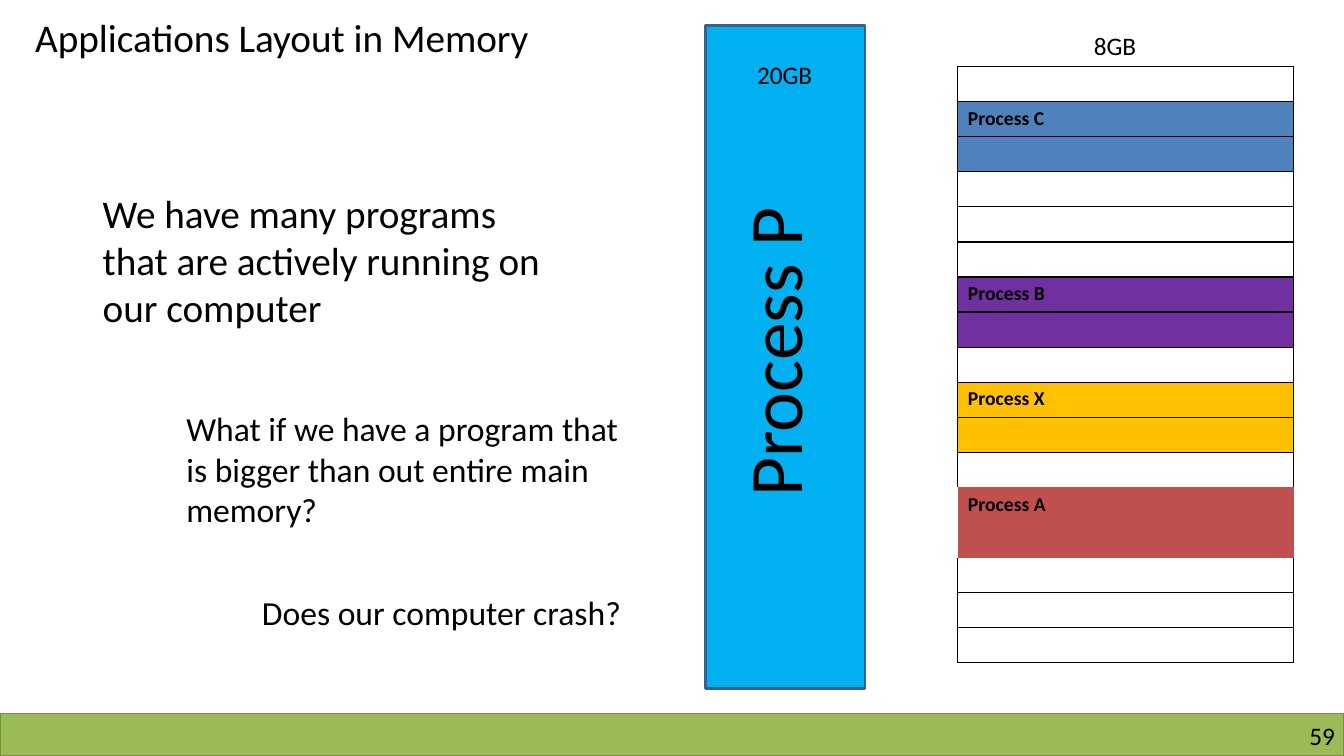
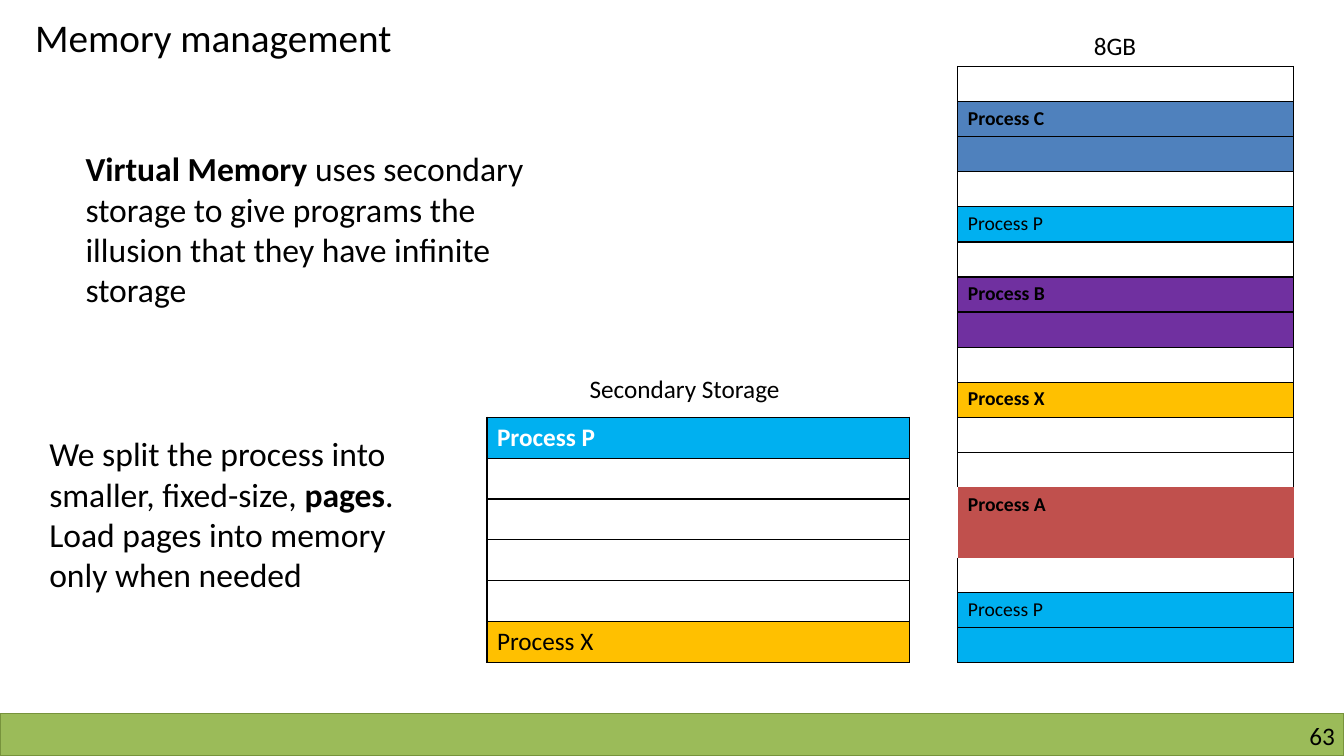
from typing import NamedTuple

from lxml import etree
from pptx import Presentation
from pptx.dml.color import RGBColor
from pptx.enum.shapes import MSO_SHAPE
from pptx.enum.text import PP_ALIGN
from pptx.oxml.ns import qn
from pptx.util import Inches, Pt

RECT = MSO_SHAPE.RECTANGLE
LEFT, RIGHT = PP_ALIGN.LEFT, PP_ALIGN.RIGHT

FONT = "Calibri"
BLACK, WHITE = "000000", "FFFFFF"
BAND_FILL, BAND_LINE = "9BBB59", "77933C"
PROCESS_LINE = "3A5F8C"
PROCESS_FILL = {
    "A": "C0504D",
    "B": "7030A0",
    "C": "4F81BD",
    "P": "00B0F0",
    "X": "FFC000",
}
SLIDE_W, SLIDE_H = 13.33, 7.5
MEMORY_BOX = (9.5, 0.66, 3.33, 5.92)
MEMORY_ROWS = 17
STORAGE_BOX = (4.83, 4.14, 4.19, 2.43)
STORAGE_ROWS = 6


class Block(NamedTuple):
    """Consecutive table rows that one process takes up."""
    first: int
    rows: int
    process: str
    bold: bool = True
    color: str = BLACK
    bordered: bool = True


BLOCK_A = Block(12, 2, "A", bordered=False)
BLOCK_B = Block(6, 2, "B")
BLOCK_C = Block(1, 2, "C")


def rgb(value):
    return RGBColor.from_string(value)


def style_font(p, size, color=BLACK, bold=None):
    p.font.name = FONT
    p.font.size = Pt(size)
    p.font.color.rgb = rgb(color)
    p.font.bold = bold


def add_box(slide, box, fill, line, line_width):
    sp = slide.shapes.add_shape(RECT, *map(Inches, box))
    sp.shadow.inherit = False
    sp.fill.solid()
    sp.fill.fore_color.rgb = rgb(fill)
    sp.line.color.rgb = rgb(line)
    sp.line.width = Pt(line_width)


def add_text(slide, box, runs, size, align=LEFT, wrap=True, inset=True):
    """Add a text box; runs is a string or a list of (text, bold) pairs."""
    sp = slide.shapes.add_textbox(*map(Inches, box))
    tf = sp.text_frame
    tf.word_wrap = wrap
    if not inset:
        tf.margin_left = tf.margin_top = tf.margin_right = tf.margin_bottom = 0
    p = tf.paragraphs[0]
    p.alignment = align
    style_font(p, size)
    for text, bold in [(runs, False)] if isinstance(runs, str) else runs:
        r = p.add_run()
        r.text = text
        r.font.bold = bold
    return sp


def set_borders(cell, sides):
    """Draw black lines on the named sides (L, R, T, B) and none elsewhere."""
    tc_pr = cell._tc.get_or_add_tcPr()
    for side in "LRTB":
        ln = etree.SubElement(tc_pr, qn(f"a:ln{side}"), w=str(Pt(1)))
        if side in sides:
            fill = etree.SubElement(ln, qn("a:solidFill"))
            etree.SubElement(fill, qn("a:srgbClr"), val=BLACK)
        else:
            etree.SubElement(ln, qn("a:noFill"))


def add_block_table(slide, box, row_count, blocks, size):
    """Add a one-column table of equal rows, coloured where blocks lie."""
    left, top, width, height = map(Inches, box)
    table = slide.shapes.add_table(row_count, 1, left, top, width, height).table
    table.first_row = table.horz_banding = False
    owner = {b.first + i: b for b in blocks for i in range(b.rows)}
    borderless = {row for row, b in owner.items() if not b.bordered}
    for row in range(row_count):
        table.rows[row].height = height // row_count
        cell = table.cell(row, 0)
        sides = "" if row in borderless else "LR"
        if row not in borderless and row - 1 not in borderless:
            sides += "T"
        if row not in borderless and row + 1 not in borderless:
            sides += "B"
        set_borders(cell, sides)
        block = owner.get(row)
        cell.fill.solid()
        cell.fill.fore_color.rgb = rgb(
            PROCESS_FILL[block.process] if block else WHITE)
        p = cell.text_frame.paragraphs[0]
        if block and row == block.first:
            style_font(p, size, block.color, block.bold)
            p.add_run().text = f"Process {block.process}"
        else:
            style_font(p, size)
            cell.margin_top = cell.margin_bottom = 0


def add_memory(slide, box, blocks):
    left, top = box[:2]
    add_text(slide, (left + 1.25, top - 0.41, 0.71, 0.4), "8GB", 18, wrap=False)
    add_block_table(slide, box, MEMORY_ROWS, blocks, 14)


def add_storage(slide, box, blocks):
    left, top = box[:2]
    add_text(slide, (left + 0.92, top - 0.49, 2.36, 0.4),
             "Secondary Storage", 18, wrap=False)
    add_block_table(slide, box, STORAGE_ROWS, blocks, 18)


def add_large_process(slide, box):
    left, top, width, height = box
    add_box(slide, box, PROCESS_FILL["P"], PROCESS_LINE, 2)
    name = add_text(slide, (left - 1.26, top + 2.34, 3.86, 1.01),
                    "Process P", 54)
    name.rotation = 270
    add_text(slide, (left + 0.41, top + 0.29, 0.85, 0.4), "20GB", 18, wrap=False)


def add_base_slide(prs, title, number):
    slide = prs.slides.add_slide(prs.slide_layouts[6])
    band_h = 0.42
    band_top = SLIDE_H - band_h
    add_box(slide, (0, band_top, SLIDE_W, band_h), BAND_FILL, BAND_LINE, 1)
    add_text(slide, (10.17, band_top + 0.07, 3.07, 0.3), number, 18,
             align=RIGHT, inset=False)
    add_text(slide, (0.25, 0.08, 6.42, 0.57), title, 28)
    return slide


def build_layout_slide(prs):
    slide = add_base_slide(prs, "Applications Layout in Memory", "59")
    add_text(slide, (0.92, 1.83, 4.67, 1.51),
             "We have many programs that are actively running on our computer",
             28)
    add_text(slide, (1.75, 4, 4.5, 1.31),
             "What if we have a program that is bigger than out entire main "
             "memory?", 24)
    add_text(slide, (2.5, 5.82, 4.17, 0.5), "Does our computer crash?", 24)
    add_large_process(slide, (7, 0.25, 1.58, 6.58))
    add_memory(slide, MEMORY_BOX,
               [BLOCK_C, BLOCK_B, Block(9, 2, "X"), BLOCK_A])


def build_management_slide(prs):
    slide = add_base_slide(prs, "Memory management", "63")
    add_text(slide, (0.75, 1.42, 4.75, 1.72),
             [("Virtual Memory ", True),
              ("uses secondary storage to give programs the illusion that "
               "they have infinite storage", False)], 24)
    add_text(slide, (0.39, 4.25, 3.75, 2.12),
             [("We split the process into smaller, fixed-size, ", False),
              ("pages", True),
              (". Load pages into memory only when needed", False)], 24)
    add_storage(slide, STORAGE_BOX,
                [Block(0, 1, "P", color=WHITE), Block(5, 1, "X", bold=False)])
    add_memory(slide, MEMORY_BOX,
               [BLOCK_C, Block(4, 1, "P", bold=False), BLOCK_B,
                Block(9, 1, "X"), BLOCK_A, Block(15, 2, "P", bold=False)])


def main():
    prs = Presentation()
    prs.slide_width = Inches(SLIDE_W)
    prs.slide_height = Inches(SLIDE_H)
    build_layout_slide(prs)
    build_management_slide(prs)
    prs.save("out.pptx")


if __name__ == "__main__":
    main()
